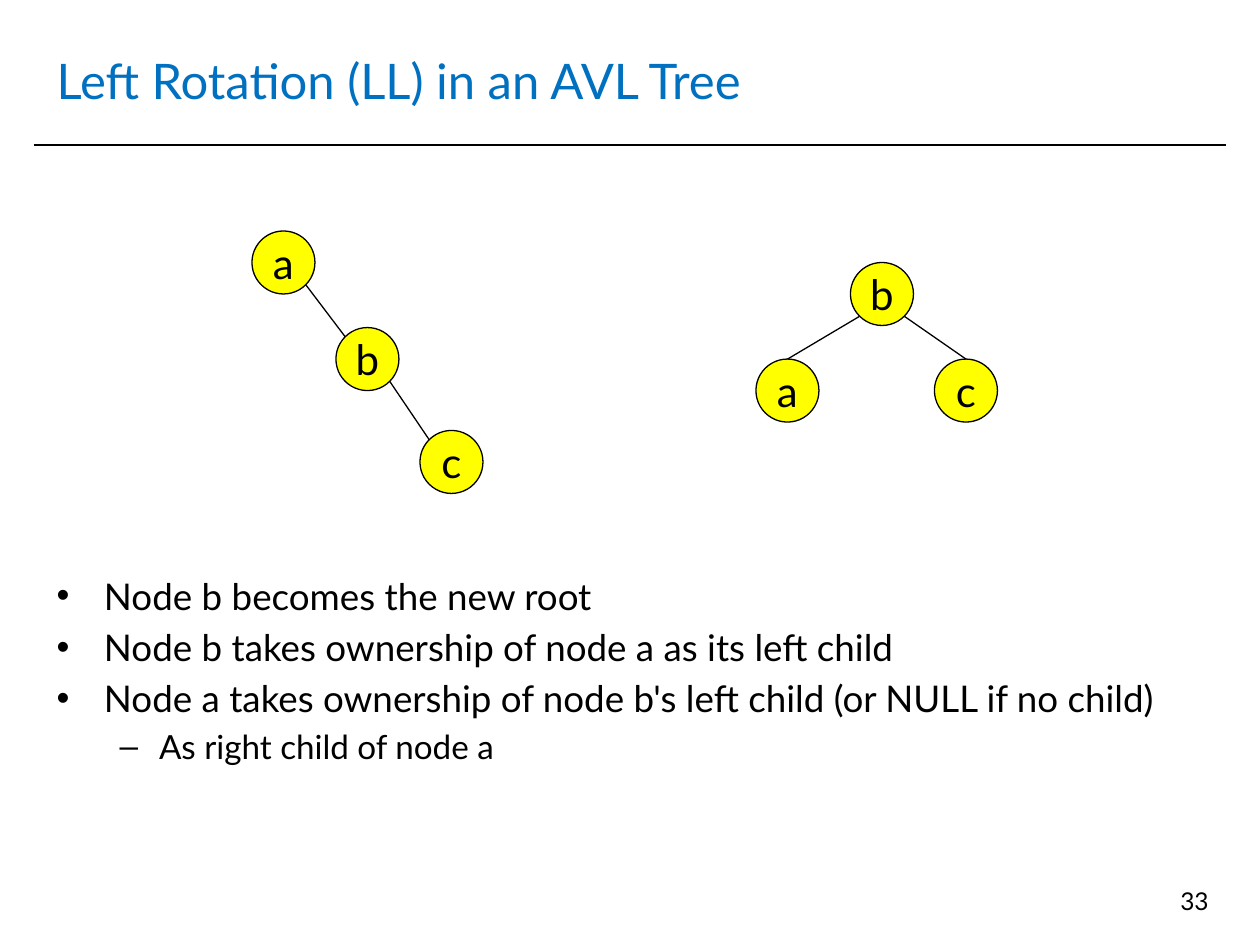
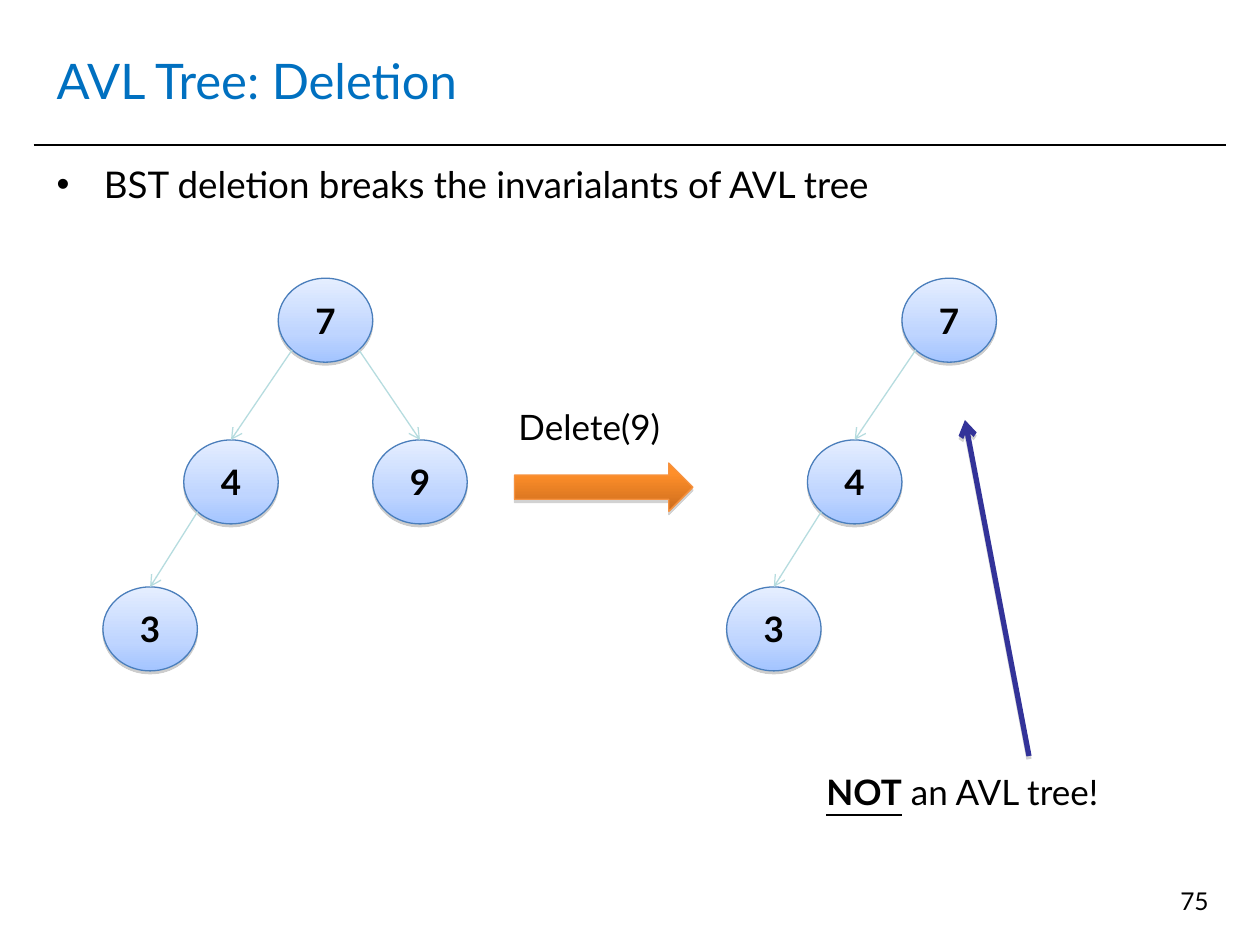
from math import sqrt

from lxml.etree import SubElement
from pptx import Presentation
from pptx.dml.color import RGBColor
from pptx.enum.shapes import MSO_CONNECTOR as Connector, MSO_SHAPE as Shape
from pptx.enum.text import MSO_ANCHOR as Anchor, MSO_AUTO_SIZE as AutoSize, PP_ALIGN as Align
from pptx.oxml.ns import qn
from pptx.util import Inches, Pt

FONT = "Lato"
COLORS = {
    "title": "0070C0", "ink": "000000", "yellow": "FFFF00",
    "node line": "4A7EBB", "edge": "B6DCDF", "arrow line": "F69240",
    "pointer": "333399", "shadow": "808080",
}
BLUE_FADE = [(0, "E5EEFF"), (65, "BFD5FF"), (100, "A3C4FF")]
ORANGE_FADE = [(0, "FF8F26"), (20, "FF8F2A"), (100, "CB6C1D")]

# The slide is a grid of 120 columns by 90 rows
WIDTH, HEIGHT = Inches(10), Inches(7.5)
CELL = WIDTH / 120
LEFT, SPAN = 4.2, 111.5
DIAGONAL = sqrt(0.5)


def grid(*cells):
    return [round(cell * CELL) for cell in cells]


def color(name):
    return RGBColor.from_string(COLORS[name])


# Text
def style(para, size, ink="ink", bold=False, align=None):
    para.alignment = align
    for span in para.runs:
        font = span.font
        font.name, font.size, font.bold = FONT, Pt(size), bold
        font.color.rgb = color(ink)


def add_label(page, area, text, size, align):
    box = page.shapes.add_textbox(*grid(*area))
    box.text_frame.word_wrap = True
    para = box.text_frame.paragraphs[0]
    para.text = text
    style(para, size, align=align)
    return para


def fill_body(page, top, items):
    body = page.placeholders[1]
    body.left, body.top, body.width, body.height = grid(LEFT, top, SPAN, 81.8 - top)
    frame = body.text_frame
    frame.auto_size = AutoSize.NONE
    for index, (level, text) in enumerate(items):
        para = frame.add_paragraph() if index else frame.paragraphs[0]
        para.text, para.level = text, level
        para.space_before = Pt(4 if index else 0)
        style(para, 19 if level else 21)


# Lines and effects
def set_shadow(properties, opacity, distance):
    effects = properties.find(qn("a:effectLst"))
    shadow = SubElement(effects, qn("a:outerShdw"), blurRad="0", dist=str(Pt(distance)),
                        dir="5400000", rotWithShape="0")
    tint = SubElement(shadow, qn("a:srgbClr"), val=COLORS["shadow"])
    SubElement(tint, qn("a:alpha"), val=str(opacity * 1000))


def add_line(page, start, end, ink="ink", weight=0.75, arrow=False):
    line = page.shapes.add_connector(Connector.STRAIGHT, *map(round, (*start, *end)))
    line.line.color.rgb = color(ink)
    line.line.width = Pt(weight)
    if arrow:
        SubElement(line.line._get_or_add_ln(), qn("a:tailEnd"), type="arrow")
    SubElement(line._element.spPr, qn("a:effectLst"))
    return line


def set_fade(shape, stops):
    shape.fill.gradient()
    shape.fill.gradient_angle = 270
    stop_list = shape._element.spPr.find(qn("a:gradFill")).find(qn("a:gsLst"))
    for old in list(stop_list):
        stop_list.remove(old)
    for position, tint in stops:
        stop = SubElement(stop_list, qn("a:gs"), pos=str(position * 1000))
        SubElement(stop, qn("a:srgbClr"), val=tint)


def add_faded_shape(page, kind, area, stops, outline, opacity, distance):
    shape = page.shapes.add_shape(kind, *grid(*area))
    shape.shadow.inherit = False
    set_fade(shape, stops)
    shape.line.color.rgb = color(outline)
    shape.line.width = Pt(0.75)
    set_shadow(shape._element.spPr, opacity, distance)
    return shape


# Trees
def label_node(node, name, size, bold):
    frame = node.text_frame
    frame.word_wrap = False
    frame.vertical_anchor = Anchor.MIDDLE
    frame.margin_left = frame.margin_right = frame.margin_top = frame.margin_bottom = 0
    frame.text = name
    style(frame.paragraphs[0], size, bold=bold, align=Align.CENTER)
    return node


def add_yellow_node(page, name, x, y):
    node = page.shapes.add_shape(Shape.OVAL, *grid(x - 3, y - 3, 6, 6))
    node.shadow.inherit = False
    node.fill.solid()
    node.fill.fore_color.rgb = color("yellow")
    node.line.color.rgb = color("ink")
    node.line.width = Pt(0.75)
    return label_node(node, name, 24, False)


def add_blue_node(page, name, x, y):
    node = add_faded_shape(page, Shape.OVAL, (x - 4.5, y - 4, 9, 8),
                           BLUE_FADE, "node line", 38, 1.6)
    return label_node(node, name, 20, True)


def rim_point(node, across, down):
    """Point on the rim of a node, half way between two of its sides."""
    return (node.left + node.width / 2 * (1 + across * DIAGONAL),
            node.top + node.height / 2 * (1 + down * DIAGONAL))


def add_tree(page, add_node, places, edges, shift=0, to_top=True, **line_style):
    nodes = {name: add_node(page, name, x + shift, y) for name, (x, y) in places.items()}
    for parent, child in edges:
        upper, lower = nodes[parent], nodes[child]
        side = 1 if lower.left > upper.left else -1
        edge = add_line(page, rim_point(upper, side, 1), rim_point(lower, -side, -1),
                        **line_style)
        if to_top:
            edge.end_connect(lower, 0)


# Frame shared by all slides
def add_page(deck, title, number):
    page = deck.slides.add_slide(deck.slide_layouts[1])
    heading = page.shapes.title
    heading.left, heading.top, heading.width, heading.height = grid(LEFT, 2.5, SPAN, 10.2)
    heading.text_frame.auto_size = AutoSize.NONE
    heading.text_frame.vertical_anchor = Anchor.MIDDLE
    heading.text_frame.text = title
    style(heading.text_frame.paragraphs[0], 28, "title", align=Align.LEFT)
    add_line(page, grid(3.2, 13.8), grid(116.8, 13.8), weight=1)
    add_label(page, (88.3, 83.8, 28, 6.2), number, 14, Align.RIGHT)
    return page


def add_rotation_page(deck):
    page = add_page(deck, "Left Rotation (LL) in an AVL Tree", "33")
    fill_body(page, 54, [
        (0, "Node b becomes the new root"),
        (0, "Node b takes ownership of node a as its left child"),
        (0, "Node a takes ownership of node b's left child (or NULL if no child)"),
        (1, "As right child of node a"),
    ])
    add_tree(page, add_yellow_node, {"b": (84, 28), "a": (75, 37.2), "c": (92, 37.2)},
             ["ba", "bc"])
    add_tree(page, add_yellow_node, {"a": (27, 25), "b": (35, 34.2), "c": (43, 44)},
             ["ab", "bc"], to_top=False)


def add_deletion_page(deck):
    page = add_page(deck, "AVL Tree: Deletion", "75")
    fill_body(page, 14.8, [(0, "BST deletion breaks the invarialants of AVL tree")])

    # Tree before and after the deletion
    after = {"7": (31, 30.5), "4": (22, 45.9), "3": (14.3, 59.9)}
    before = {**after, "9": (40, 45.9)}
    edge_style = {"ink": "edge", "arrow": True}
    add_tree(page, add_blue_node, before, ["74", "79", "43"], **edge_style)
    add_tree(page, add_blue_node, after, ["74", "43"], shift=59.4, **edge_style)

    # Deletion step
    add_faded_shape(page, Shape.RIGHT_ARROW, (49, 44.1, 17, 4.6),
                    ORANGE_FADE, "arrow line", 35, 1.8)
    add_label(page, (48.2, 38, 16.4, 5.3), "Delete(9)", 20, Align.LEFT)

    # Verdict
    pointer = add_line(page, grid(98, 72), grid(91.9, 40), "pointer", 3, arrow=True)
    set_shadow(pointer._element.spPr, 35, 1.8)
    verdict = add_label(page, (71.3, 72.8, 40.7, 5.3), "NOT", 20, Align.CENTER)
    verdict.add_run().text = " an AVL tree!"
    style(verdict, 20, align=Align.CENTER)
    emphasis = verdict.runs[0].font
    emphasis.bold = emphasis.underline = True


def main():
    deck = Presentation()
    deck.slide_width, deck.slide_height = WIDTH, HEIGHT
    add_rotation_page(deck)
    add_deletion_page(deck)
    deck.save("out.pptx")


if __name__ == "__main__":
    main()
